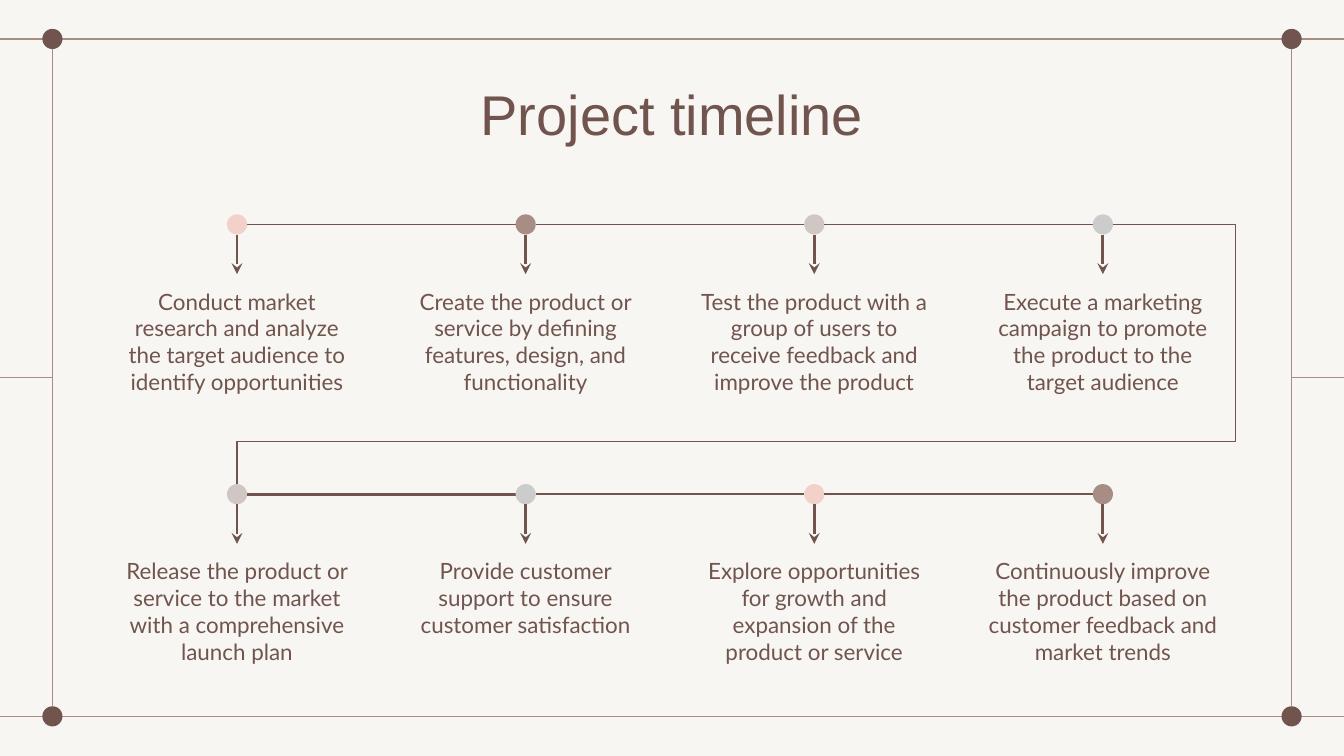
import pptx
import pptx.util
import pptx.dml.color
import pptx.enum.shapes
import pptx.enum.text
import pptx.oxml
import pptx.oxml.ns
from lxml import etree

Inches = pptx.util.Inches
RGBColor = pptx.dml.color.RGBColor
MSO_SHAPE = pptx.enum.shapes.MSO_SHAPE
MSO_CONNECTOR = pptx.enum.shapes.MSO_CONNECTOR

CREAM = RGBColor(0xF8, 0xF6, 0xF2)
BROWN = RGBColor(0x70, 0x54, 0x4D)
TAUPE = RGBColor(0xA7, 0x8D, 0x84)
BLUSH = RGBColor(0xF1, 0xD1, 0xC8)
MAUVE = RGBColor(0xD0, 0xC6, 0xC3)
SILVER = RGBColor(0xCC, 0xCC, 0xCC)

WIDTH = 10
HEIGHT = WIDTH * 9 / 16
COLUMNS = 4
DOT = 0.15
DROP = 0.37
INSET = 0.1

ROWS = [
    [
        (BLUSH, "Conduct market research and analyze the target audience to identify opportunities"),
        (TAUPE, "Create the product or service by defining features, design, and functionality"),
        (MAUVE, "Test the product with a group of users to receive feedback and improve the product"),
        (SILVER, "Execute a marketing campaign to promote the product to the target audience"),
    ],
    [
        (MAUVE, "Release the product or service to the market with a comprehensive launch plan"),
        (SILVER, "Provide customer support to ensure customer satisfaction"),
        (BLUSH, "Explore opportunities for growth and expansion of the product or service"),
        (TAUPE, "Continuously improve the product based on customer feedback and market trends"),
    ],
]


def write(shape, text, size=12, font="Lato", color=BROWN):
    frame = shape.text_frame
    frame.word_wrap = True
    frame.vertical_anchor = pptx.enum.text.MSO_ANCHOR.TOP
    frame.margin_left = frame.margin_right = Inches(INSET)
    frame.margin_top = frame.margin_bottom = Inches(INSET)
    paragraph = frame.paragraphs[0]
    paragraph.alignment = pptx.enum.text.PP_ALIGN.CENTER
    run = paragraph.add_run()
    run.text = text
    run.font.size = pptx.util.Pt(size)
    run.font.name = font
    run.font.color.rgb = color


def draw_line(slide, start, end, color=BROWN, weight=0.75, arrow=False, kind=MSO_CONNECTOR.STRAIGHT):
    line = slide.shapes.add_connector(kind, *(Inches(v) for v in (*start, *end)))
    line.line.color.rgb = color
    line.line.width = pptx.util.Pt(weight)
    if arrow:
        stroke = line.line._get_or_add_ln()
        etree.SubElement(stroke, pptx.oxml.ns.qn("a:tailEnd"), type="stealth")
    etree.SubElement(line._element.spPr, pptx.oxml.ns.qn("a:effectLst"))
    return line


def draw_dot(slide, x, y, color):
    dot = slide.shapes.add_shape(
        MSO_SHAPE.OVAL, Inches(x - DOT / 2), Inches(y - DOT / 2), Inches(DOT), Inches(DOT)
    )
    dot.shadow.inherit = False
    dot.fill.solid()
    dot.fill.fore_color.rgb = color
    dot.line.fill.background()


def draw_frame(slide, left, top, width, height):
    right, bottom, middle = left + width, top + height, top + height / 2
    for y in (top, bottom):
        draw_line(slide, (0, y), (WIDTH, y), TAUPE)
    for x, edge in ((left, 0), (right, WIDTH)):
        draw_line(slide, (x, top + DOT / 2), (x, bottom - DOT / 2), TAUPE)
        draw_line(slide, (min(x, edge), middle), (max(x, edge), middle), TAUPE)
        for y in (top, bottom):
            draw_dot(slide, x, y, BROWN)


def draw_title(slide, left, top, width, height):
    title = slide.shapes.title
    title.left, title.top, title.width, title.height = (
        Inches(v) for v in (left, top, width, height)
    )
    write(title, "Project timeline", size=30, font="Arial")


def draw_steps(slide, steps, left, top, width, height, first_weight=0.75):
    pitch = width / COLUMNS
    label_width = pitch * 0.92
    label_top = top + DROP
    centers = [left + pitch * (i + 0.5) for i in range(COLUMNS)]
    for i, (x, (color, text)) in enumerate(zip(centers, steps)):
        if i:
            weight = first_weight if i == 1 else 0.75
            draw_line(slide, (centers[i - 1] + DOT / 2, top), (x - DOT / 2, top), weight=weight)
        draw_dot(slide, x, top, color)
        draw_line(slide, (x, top + DOT / 2), (x, label_top), weight=1.5, arrow=True)
        label = slide.shapes.add_textbox(
            Inches(x - label_width / 2), Inches(label_top),
            Inches(label_width), Inches(height - DROP),
        )
        write(label, text)
    return centers


def draw_return(slide, start, end):
    link = draw_line(slide, start, end, kind=MSO_CONNECTOR.ELBOW)
    geometry = link._element.spPr.find(pptx.oxml.ns.qn("a:prstGeom"))
    geometry.set("prst", "bentConnector4")
    guides = geometry.find(pptx.oxml.ns.qn("a:avLst"))
    for name, value in (("adj1", -14000), ("adj2", 83500)):
        etree.SubElement(guides, pptx.oxml.ns.qn("a:gd"), name=name, fmla=f"val {value}")


def draw_timeline(slide, left, top, width, height):
    pitch = height * 0.61
    row_height = height - pitch
    lower = top + pitch
    centers = draw_steps(slide, ROWS[0], left, top, width, row_height)
    draw_steps(slide, ROWS[1], left, lower, width, row_height, first_weight=1.5)
    draw_return(slide, (centers[-1] + DOT / 2, top), (centers[0], lower - DOT / 2))


def main():
    deck = pptx.Presentation()
    deck.slide_width, deck.slide_height = Inches(WIDTH), Inches(HEIGHT)
    slide = deck.slides.add_slide(deck.slide_layouts[5])
    slide.background.fill.solid()
    slide.background.fill.fore_color.rgb = CREAM
    draw_frame(slide, left=0.39, top=0.29, width=WIDTH - 0.78, height=5.04)
    draw_title(slide, left=0.79, top=0.49, width=WIDTH - 1.58, height=0.63)
    draw_timeline(slide, left=0.69, top=1.67, width=8.59, height=3.29)
    deck.save("out.pptx")


if __name__ == "__main__":
    main()
